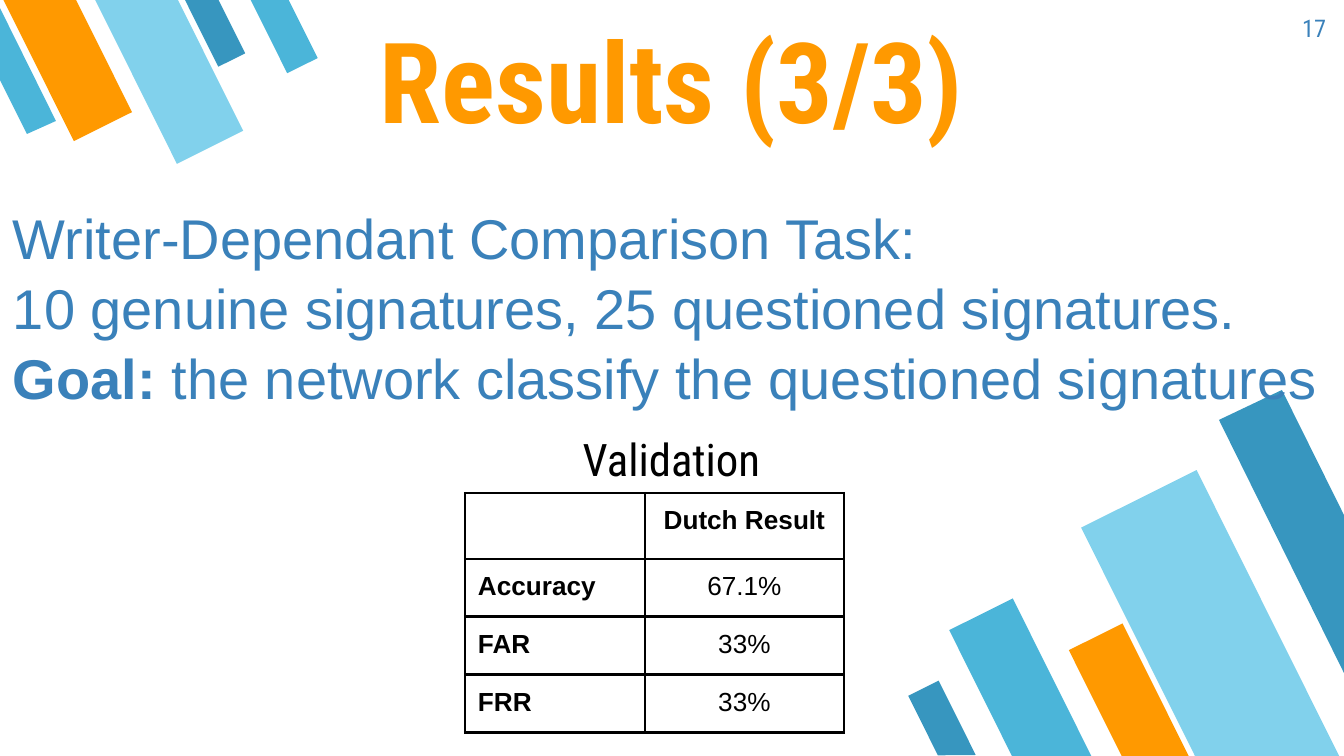
from dataclasses import dataclass

from lxml.etree import SubElement
from pptx import Presentation
from pptx.dml.color import RGBColor
from pptx.enum.shapes import MSO_SHAPE
from pptx.enum.text import MSO_ANCHOR, MSO_AUTO_SIZE, PP_ALIGN
from pptx.oxml.ns import qn
from pptx.util import Emu, Pt

EMU_PER_PX = 914400 / 134.4
INSET = 13


def px(length):
    return Emu(round(length * EMU_PER_PX))


@dataclass(frozen=True)
class Theme:
    heading_font: str = "Roboto Condensed"
    body_font: str = "Arial"
    orange: str = "FF9900"
    deep: str = "3796BF"
    mid: str = "4BB5D9"
    pale: str = "81D1EC"
    text_blue: str = "3A81BA"
    black: str = "000000"
    title_size: int = 60
    body_size: int = 30
    caption_size: int = 24
    table_size: int = 14
    number_size: int = 13
    border_width: float = 1.5


class SlideBuilder:
    def __init__(self, slide, theme):
        self.slide = slide
        self.theme = theme

    def paint(self, shape, color):
        shape.shadow.inherit = False
        shape.fill.solid()
        shape.fill.fore_color.rgb = RGBColor.from_string(color)
        shape.line.fill.background()

    def stripe(self, box, rotation, color):
        stripe = self.slide.shapes.add_shape(
            MSO_SHAPE.FLOWCHART_MANUAL_INPUT, *map(px, box))
        stripe.rotation = rotation
        stripe._element.spPr.find(qn("a:xfrm")).set("flipH", "1")
        self.paint(stripe, color)

    def cut_stripe(self, points, color):
        outline = self.slide.shapes.build_freeform(*points[0], scale=EMU_PER_PX)
        outline.add_line_segments(points[1:], close=True)
        self.paint(outline.convert_to_shape(), color)

    def add_runs(self, frame, paragraphs, font, size, color,
                 align=PP_ALIGN.LEFT, line_spacing=None):
        """Each paragraph is a list of (text, bold) runs."""
        for index, runs in enumerate(paragraphs):
            paragraph = frame.add_paragraph() if index else frame.paragraphs[0]
            paragraph.alignment = align
            if line_spacing:
                paragraph.line_spacing = line_spacing
            for text, bold in runs:
                run = paragraph.add_run()
                run.text = text
                run.font.name = font
                run.font.size = Pt(size)
                run.font.bold = bold
                run.font.color.rgb = RGBColor.from_string(color)

    def set_insets(self, holder, vertical=INSET):
        holder.margin_left = holder.margin_right = px(INSET)
        holder.margin_top = holder.margin_bottom = px(vertical)

    def title(self, text, box):
        title = self.slide.shapes.title
        title.left, title.top, title.width, title.height = map(px, box)
        frame = title.text_frame
        frame.auto_size = MSO_AUTO_SIZE.NONE
        frame.vertical_anchor = MSO_ANCHOR.BOTTOM
        self.set_insets(frame)
        self.add_runs(frame, [[(text, True)]], self.theme.heading_font,
                      self.theme.title_size, self.theme.orange, PP_ALIGN.CENTER)

    def text(self, box, paragraphs, font, size, color, vertical=INSET, **layout):
        frame = self.slide.shapes.add_textbox(*map(px, box)).text_frame
        frame.word_wrap = True
        self.set_insets(frame, vertical)
        self.add_runs(frame, paragraphs, font, size, color, **layout)

    def border(self, cell):
        properties = cell._tc.get_or_add_tcPr()
        for position, side in enumerate(("a:lnL", "a:lnR", "a:lnT", "a:lnB")):
            line = properties.makeelement(
                qn(side), {"w": str(Pt(self.theme.border_width))})
            fill = SubElement(line, qn("a:solidFill"))
            SubElement(fill, qn("a:srgbClr"), val=self.theme.black)
            properties.insert(position, line)

    def table(self, left, top, widths, heights, rows):
        table = self.slide.shapes.add_table(
            len(rows), len(widths),
            *map(px, (left, top, sum(widths), sum(heights)))).table
        for column, width in zip(table.columns, widths):
            column.width = px(width)
        for row, height in zip(table.rows, heights):
            row.height = px(height)
        for r, values in enumerate(rows):
            for c, value in enumerate(values):
                cell = table.cell(r, c)
                cell.fill.background()
                self.set_insets(cell)
                self.border(cell)
                if value:
                    self.add_runs(cell.text_frame,
                                  [[(value, r == 0 or c == 0)]],
                                  self.theme.body_font, self.theme.table_size,
                                  self.theme.black,
                                  PP_ALIGN.CENTER if c else PP_ALIGN.LEFT)


def main():
    theme = Theme()
    presentation = Presentation()
    presentation.slide_width, presentation.slide_height = px(1344), px(756)
    title_only = presentation.slide_layouts[5]
    builder = SlideBuilder(presentation.slides.add_slide(title_only), theme)

    # Stripes in the bottom right corner
    for box, color in (((985, 605, 71, 177), theme.mid),
                       ((1146, 482, 129, 321), theme.pale),
                       ((1099, 629, 60, 149), theme.orange),
                       ((925, 684, 34, 83), theme.deep)):
        builder.stripe(box, 153.5, color)
    builder.cut_stripe([(1282, 390), (1219, 420), (1344, 673), (1344, 515)],
                       theme.deep)

    # Stripes in the top left corner
    for box, color in (((200, -11, 30, 75), theme.deep),
                       ((35, -24, 65, 159), theme.orange),
                       ((132, -27, 74, 184), theme.pale),
                       ((267, -13, 34, 83), theme.mid)):
        builder.stripe(box, 333.5, color)
    builder.cut_stripe([(27, 134), (56, 121), (0, 8), (0, 80)], theme.mid)

    # Title and slide number
    builder.title("Results (3/3)", (168, 11, 1007, 148))
    builder.text((1258, 0, 81, 58), [[("17", False)]], theme.heading_font,
                 theme.number_size, theme.text_blue, align=PP_ALIGN.RIGHT)

    # Task description
    task = [
        [("Writer-Dependant Comparison Task:", False)],
        [("10 genuine signatures, 25 questioned signatures.", False)],
        [("Goal: ", True),
         ("the network classify the questioned signatures", False)],
    ]
    builder.text((0, 194, 1344, 232), task, theme.body_font, theme.body_size,
                 theme.text_blue, vertical=7, line_spacing=1.04)

    # Validation results
    builder.table(465, 493, (180, 199), (58, 56, 58, 58), [
        ("", "Dutch Result"),
        ("Accuracy", "67.1%"),
        ("FAR", "33%"),
        ("FRR", "33%"),
    ])
    builder.text((462, 419, 419, 58), [[("Validation", False)]],
                 theme.heading_font, theme.caption_size, theme.black,
                 align=PP_ALIGN.CENTER)

    presentation.save("out.pptx")


if __name__ == "__main__":
    main()
